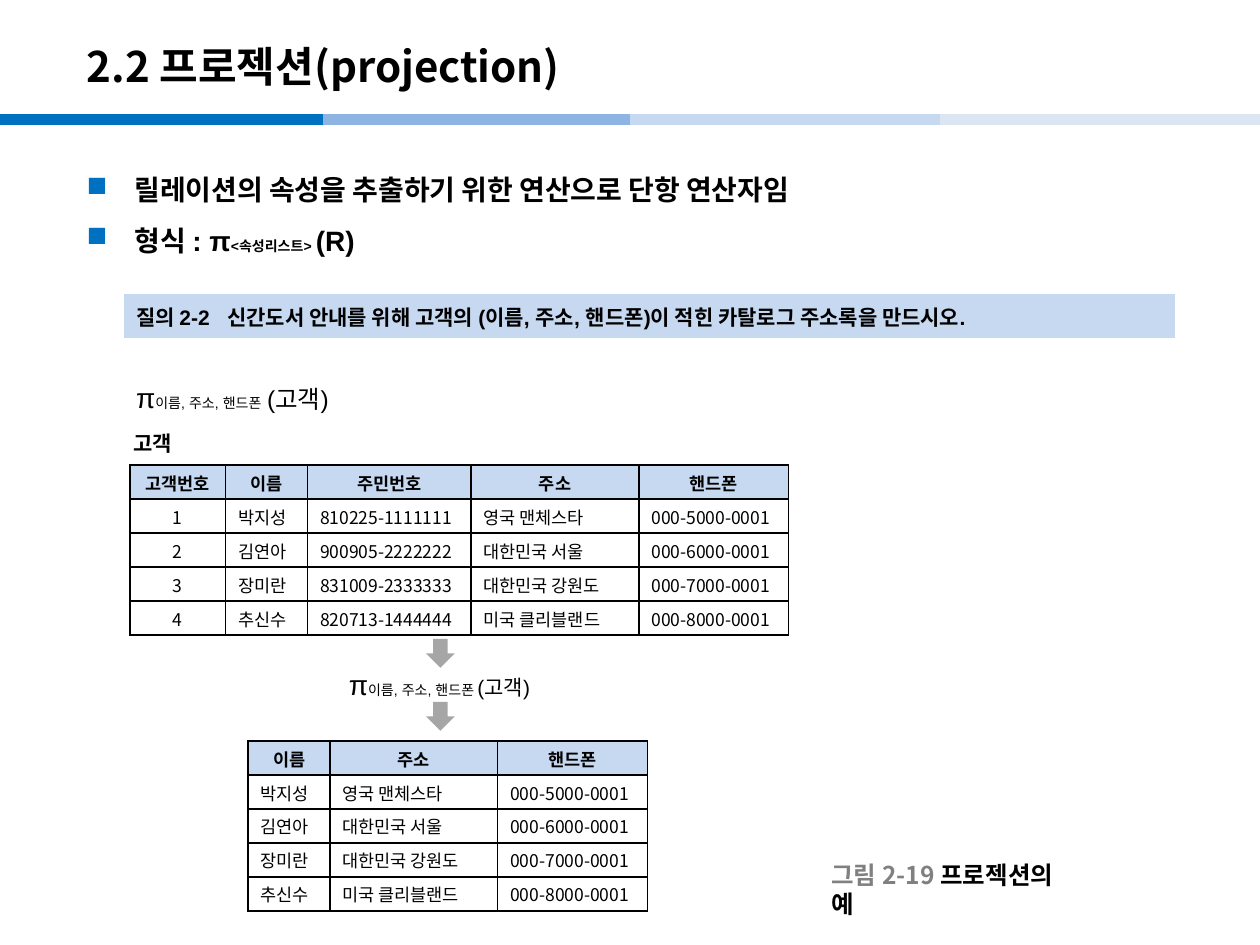
"""Builds the slide that explains the relational projection operator."""
from dataclasses import dataclass

import lxml.etree
import pptx
import pptx.dml.color
import pptx.enum.shapes
import pptx.enum.text
import pptx.oxml
import pptx.oxml.ns
import pptx.util

Inches = pptx.util.Inches
Pt = pptx.util.Pt
Align = pptx.enum.text.PP_ALIGN
Anchor = pptx.enum.text.MSO_ANCHOR


@dataclass(frozen=True)
class Theme:
    latin: str = "Arial"
    korean: str = "Noto Sans CJK KR"
    ink: str = "000000"
    grey: str = "808080"
    arrow: str = "A6A6A6"
    accent: str = "0070C0"
    panel: str = "C6D9F1"
    paper: str = "FFFFFF"
    band: tuple = ("0070C0", "8EB4E3", "C6D9F1", "DCE6F2")
    title: int = 24
    body: int = 16
    caption: int = 14
    label: int = 12
    cell: int = 10
    subscript: int = 8


THEME = Theme()
COLUMNS = {"고객번호": 0.76, "이름": 0.65, "주민번호": 1.3, "주소": 1.33, "핸드폰": 1.19}
CUSTOMERS = [
    ("1", "박지성", "810225-1111111", "영국 맨체스타", "000-5000-0001"),
    ("2", "김연아", "900905-2222222", "대한민국 서울", "000-6000-0001"),
    ("3", "장미란", "831009-2333333", "대한민국 강원도", "000-7000-0001"),
    ("4", "추신수", "820713-1444444", "미국 클리블랜드", "000-8000-0001"),
]
PROJECTED = ("이름", "주소", "핸드폰")


def rgb(code):
    return pptx.dml.color.RGBColor.from_string(code)


def box(left, top, width, height):
    return Inches(left), Inches(top), Inches(width), Inches(height)


def style(paragraph, size, name=THEME.latin, bold=False):
    font = paragraph.font
    font.name, font.size, font.bold = name, Pt(size), bold
    font.color.rgb = rgb(THEME.ink)


def add_runs(paragraph, *pieces):
    """Adds (text, size) pieces to a paragraph."""
    for text, size in pieces:
        run = paragraph.add_run()
        run.text = text
        run.font.size = Pt(size)


def add_text(slide, place, wrap=False):
    frame = slide.shapes.add_textbox(*box(*place)).text_frame
    frame.word_wrap = wrap
    return frame


def add_band(slide):
    starts = (0, 2.56, 5, 7.46)
    for start, color in zip(starts, THEME.band):
        stripe = slide.shapes.add_connector(
            pptx.enum.shapes.MSO_CONNECTOR.STRAIGHT,
            Inches(start), Inches(0.95), Inches(start + 2.56), Inches(0.95))
        stripe.line.color.rgb = rgb(color)
        stripe.line.width = Pt(6)
        lxml.etree.SubElement(stripe._element.spPr, pptx.oxml.ns.qn("a:effectLst"))


def add_title(slide):
    title = slide.shapes.title
    title.left, title.top, title.width, title.height = box(0.59, 0.22, 8.27, 0.6)
    frame = title.text_frame
    frame.text = "2.2 프로젝션(projection)"
    frame.vertical_anchor = Anchor.MIDDLE
    frame.paragraphs[0].alignment = Align.LEFT
    style(frame.paragraphs[0], THEME.title, THEME.korean, True)


def add_bullet(paragraph):
    properties = paragraph._p.get_or_add_pPr()
    properties.set("marL", str(Inches(0.38)))
    properties.set("indent", str(-Inches(0.38)))
    color = lxml.etree.SubElement(properties, pptx.oxml.ns.qn("a:buClr"))
    lxml.etree.SubElement(color, pptx.oxml.ns.qn("a:srgbClr"), val=THEME.accent)
    lxml.etree.SubElement(properties, pptx.oxml.ns.qn("a:buChar"), char="■")
    paragraph.line_spacing = 1.5


def add_definition(slide):
    frame = add_text(slide, (0.59, 1.19, 8.9, 5.98), wrap=True)
    meaning, notation = frame.paragraphs[0], frame.add_paragraph()
    for paragraph in (meaning, notation):
        add_bullet(paragraph)
        style(paragraph, THEME.body, bold=True)
    meaning.add_run().text = "릴레이션의 속성을 추출하기 위한 연산으로 단항 연산자임"
    add_runs(notation, ("형식 : π", THEME.body), ("<속성리스트> ", THEME.subscript),
             ("(R)", THEME.body))


def add_table(slide, place, widths, heights):
    table = slide.shapes.add_table(len(heights), len(widths), *box(*place)).table
    table.first_row = table.horz_banding = False
    for column, width in zip(table.columns, widths):
        column.width = Inches(width)
    for row, height in zip(table.rows, heights):
        row.height = Inches(height)
    return table


def add_query(slide):
    table = add_table(slide, (0.98, 2.33, 8.35, 1.02), [8.35], [0.36, 0.66])
    question, answer = table.cell(0, 0), table.cell(1, 0)
    for cell, color, anchor in ((question, THEME.panel, Anchor.MIDDLE),
                                (answer, THEME.paper, Anchor.BOTTOM)):
        cell.fill.solid()
        cell.fill.fore_color.rgb = rgb(color)
        cell.vertical_anchor = anchor
    question.text = ("질의 2-2\u00a0\u00a0 신간도서 안내를 위해 고객의 (이름, 주소, 핸드폰)이 "
                     "적힌 카탈로그 주소록을 만드시오.")
    style(question.text_frame.paragraphs[0], THEME.label, bold=True)
    formula = answer.text_frame.paragraphs[0]
    style(formula, THEME.body)
    add_runs(formula, ("π", THEME.body), ("이름, 주소, 핸드폰", THEME.subscript),
             (" (고객)", THEME.caption))


def add_borders(cell):
    properties = cell._tc.get_or_add_tcPr()
    for index, side in enumerate(("lnL", "lnR", "lnT", "lnB")):
        properties.insert(index, pptx.oxml.parse_xml(
            f'<a:{side} {pptx.oxml.ns.nsdecls("a")} w="{Pt(1)}"><a:solidFill>'
            f'<a:srgbClr val="{THEME.ink}"/></a:solidFill></a:{side}>'))


def add_relation(slide, left, top, row_height, names):
    """Draws the customer relation restricted to the named columns."""
    widths = [COLUMNS[name] for name in names]
    picks = [list(COLUMNS).index(name) for name in names]
    rows = [names] + [[customer[pick] for pick in picks] for customer in CUSTOMERS]
    heights = [row_height] * len(rows)
    table = add_table(slide, (left, top, sum(widths), sum(heights)), widths, heights)
    for r, row in enumerate(rows):
        for c, value in enumerate(row):
            cell = table.cell(r, c)
            cell.text = value
            cell.margin_top, cell.margin_bottom = Inches(0.04), Inches(0.01)
            if r == 0:
                cell.fill.solid()
                cell.fill.fore_color.rgb = rgb(THEME.panel)
            else:
                cell.fill.background()
            add_borders(cell)
            paragraph = cell.text_frame.paragraphs[0]
            centred = r == 0 or names[c] == "고객번호"
            paragraph.alignment = Align.CENTER if centred else Align.LEFT
            style(paragraph, THEME.cell, THEME.korean, r == 0)


def add_arrow(slide, top):
    arrow = slide.shapes.add_shape(
        pptx.enum.shapes.MSO_SHAPE.DOWN_ARROW, *box(3.38, top, 0.23, 0.23))
    arrow.shadow.inherit = False
    arrow.fill.solid()
    arrow.fill.fore_color.rgb = rgb(THEME.arrow)
    arrow.line.fill.background()


def add_labels(slide):
    relation = add_text(slide, (0.96, 3.37, 0.54, 0.3)).paragraphs[0]
    relation.add_run().text = "고객"
    style(relation, THEME.label, bold=True)

    operation = add_text(slide, (2.67, 5.25, 1.74, 0.37), wrap=True).paragraphs[0]
    style(operation, THEME.body)
    add_runs(operation, ("π", THEME.body), ("이름, 주소, 핸드폰 ", THEME.subscript),
             ("(고객)", THEME.label))

    frame = add_text(slide, (6.5, 6.9, 2.05, 0.31))
    frame.vertical_anchor = Anchor.MIDDLE
    caption = frame.paragraphs[0]
    style(caption, THEME.caption, THEME.korean, True)
    add_runs(caption, ("그림 2-19 ", THEME.caption), ("프로젝션의 예", THEME.caption))
    caption.runs[0].font.color.rgb = rgb(THEME.grey)


def main():
    deck = pptx.Presentation()
    deck.slide_width, deck.slide_height = Inches(10), Inches(7.5)
    slide = deck.slides.add_slide(deck.slide_layouts[5])
    add_band(slide)
    add_title(slide)
    add_definition(slide)
    add_query(slide)
    for top in (5.07, 5.57):
        add_arrow(slide, top)
    add_labels(slide)
    add_relation(slide, 1.03, 3.69, 0.27, list(COLUMNS))
    add_relation(slide, 1.97, 5.88, 0.27, PROJECTED)
    deck.save("out.pptx")


if __name__ == "__main__":
    main()
